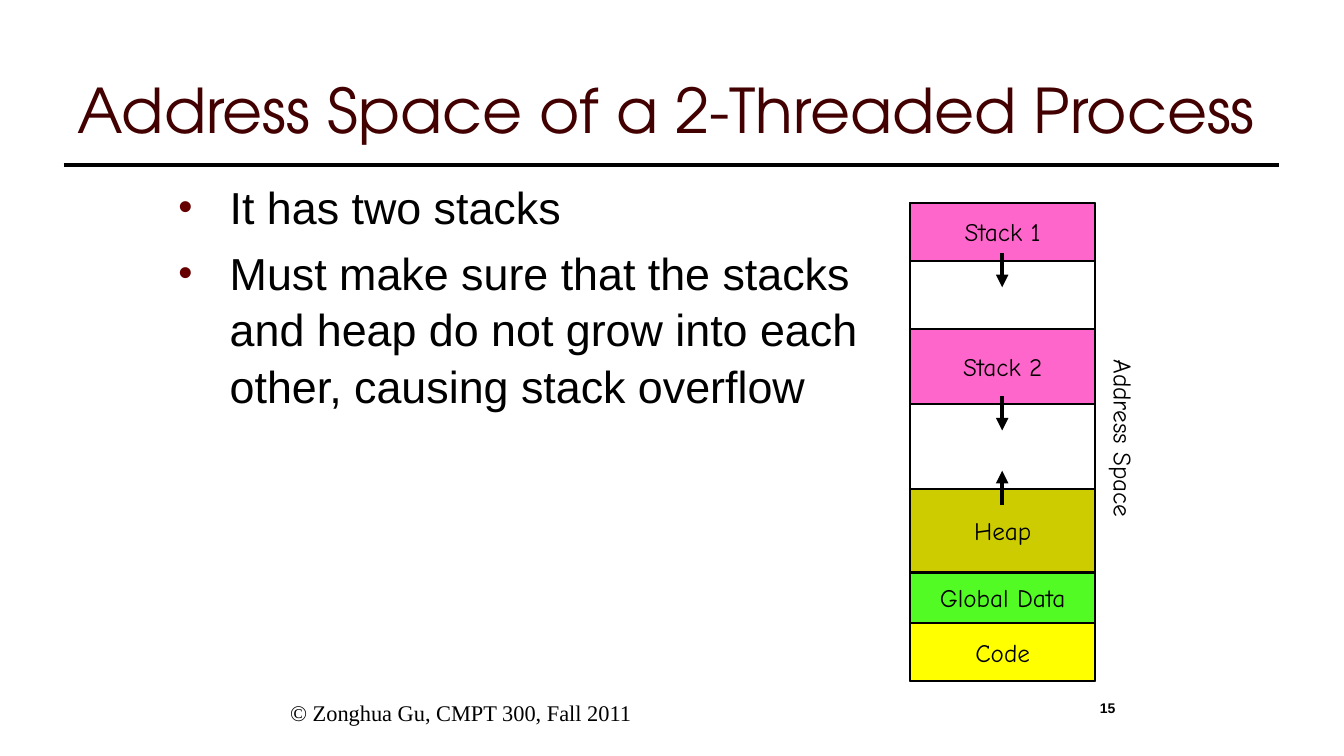
from dataclasses import dataclass

from lxml import etree
from pptx import Presentation
from pptx import util as u
from pptx.dml.color import RGBColor
from pptx.enum import shapes, text
from pptx.oxml.ns import qn

PX = 9144  # 100 px to the inch


@dataclass(frozen=True)
class Theme:
    ink: str = "000000"
    title: str = "420000"
    bullet: str = "660000"
    free: str = "FFFFFF"
    stack: str = "FF66CC"
    heap: str = "CCCC00"
    data: str = "53FB25"
    code: str = "FFFF00"
    title_font: str = "TeX Gyre Adventor"
    body_font: str = "Arial"
    label_font: str = "Comic Neue"
    footer_font: str = "Times New Roman"
    title_size: int = 44
    body_size: int = 32
    label_size: int = 18
    footer_size: int = 16
    number_size: int = 10


THEME = Theme()
ALIGN = text.PP_ALIGN
ANCHOR = text.MSO_ANCHOR

# Name, height, fill; an unnamed segment is free space.
SEGMENTS = [
    ("Stack 1", 58, THEME.stack),
    (None, 67, None),
    ("Stack 2", 75, THEME.stack),
    (None, 84, None),
    ("Heap", 83, THEME.heap),
    ("Global Data", 50, THEME.data),
    ("Code", 58, THEME.code),
]


def px(*lengths):
    return [u.Emu(length * PX) for length in lengths]


def write(shape, lines, font, size, color=THEME.ink, align=ALIGN.LEFT,
          anchor=ANCHOR.TOP, wrap=True, bold=False):
    frame = shape.text_frame
    frame.text = "\n".join(lines)
    frame.word_wrap = wrap
    frame.vertical_anchor = anchor
    for para in frame.paragraphs:
        para.alignment = align
        for span in para.runs:
            span.font.name = font
            span.font.size = u.Pt(size)
            span.font.bold = bold
            span.font.color.rgb = RGBColor.from_string(color)
    return shape


def add_text(parent, box, lines, font, size, **style):
    return write(parent.shapes.add_textbox(*px(*box)), lines, font, size, **style)


def add_line(parent, start, end, arrow=False):
    line = parent.shapes.add_connector(shapes.MSO_CONNECTOR.STRAIGHT, *px(*start, *end))
    line.line.color.rgb = RGBColor.from_string(THEME.ink)
    line.line.width = u.Pt(3)
    if arrow:
        etree.SubElement(line.line._get_or_add_ln(), qn("a:tailEnd"), type="triangle")
    etree.SubElement(line._element.spPr, qn("a:effectLst"))


def add_block(parent, box, fill):
    block = parent.shapes.add_shape(shapes.MSO_SHAPE.RECTANGLE, *px(*box))
    block.shadow.inherit = False
    block.fill.solid()
    block.fill.fore_color.rgb = RGBColor.from_string(fill)
    block.line.color.rgb = RGBColor.from_string(THEME.ink)
    block.line.width = u.Pt(1.5)
    return block


def add_heading(page, box):
    left, top, width, height = box
    add_text(page, box, ["Address Space of a 2-Threaded Process"], THEME.title_font,
             THEME.title_size, color=THEME.title, anchor=ANCHOR.BOTTOM)
    rule_y = top + height + 14
    add_line(page, (left - 4, rule_y), (left + width + 2, rule_y))


def add_bullets(page, box, lines):
    body = add_text(page, box, lines, THEME.body_font, THEME.body_size)
    for index, para in enumerate(body.text_frame.paragraphs):
        props = para._p.get_or_add_pPr()
        indent = 51 * PX
        props.set("marL", str(indent))
        props.set("indent", str(-indent))
        color = etree.SubElement(props, qn("a:buClr"))
        etree.SubElement(color, qn("a:srgbClr"), val=THEME.bullet)
        etree.SubElement(props, qn("a:buSzPct"), val="90000")
        etree.SubElement(props, qn("a:buFont"), typeface=THEME.body_font)
        etree.SubElement(props, qn("a:buChar"), char="•")
        para.line_spacing = 1.05
        if index:
            para.space_before = u.Pt(6.4)


def add_address_space(page, box):
    """Stack the memory segments, with arrows for the way each one grows."""
    left, top, width, height = box
    diagram = page.shapes.add_group_shape()
    add_block(diagram, box, THEME.free)
    edges = {}
    y = top
    for name, depth, fill in SEGMENTS:
        if name:
            block = add_block(diagram, (left, y, width, depth), fill)
            write(block, [name], THEME.label_font, THEME.label_size,
                  align=ALIGN.CENTER, anchor=ANCHOR.MIDDLE, wrap=False)
            edges[name] = (y, y + depth)
        y += depth

    middle = left + width // 2
    growth = [(edges["Stack 1"][1] - 8, 34),
              (edges["Stack 2"][1] - 8, 34),
              (edges["Heap"][0] + 16, -34)]
    for start, reach in growth:
        add_line(diagram, (middle, start), (middle, start + reach), arrow=True)

    label_box = (left + width - 72, top + height // 2 - 23, 201, 40)
    label = add_text(diagram, label_box, ["Address Space"], THEME.label_font,
                     THEME.label_size, align=ALIGN.CENTER, wrap=False)
    label.rotation = 90


def add_footer(page, box):
    left, top, width, height = box
    add_text(page, (left, top, 480, height), ["© Zonghua Gu, CMPT 300, Fall 2011"],
             THEME.footer_font, THEME.footer_size, align=ALIGN.CENTER)
    add_text(page, (left + width - 233, top, 233, height), ["15"],
             THEME.body_font, THEME.number_size, align=ALIGN.RIGHT, bold=True)


def main():
    deck = Presentation()
    deck.slide_width, deck.slide_height = px(1333, 750)
    page = deck.slides.add_slide(deck.slide_layouts[6])
    add_heading(page, (67, 25, 1200, 125))
    add_bullets(page, (167, 171, 738, 558), [
        "It has two stacks",
        "Must make sure that the stacks and heap do not grow into each other, "
        "causing stack overflow",
    ])
    add_address_space(page, (903, 201, 183, 475))
    add_footer(page, (217, 689, 899, 50))
    deck.save("out.pptx")


if __name__ == "__main__":
    main()
